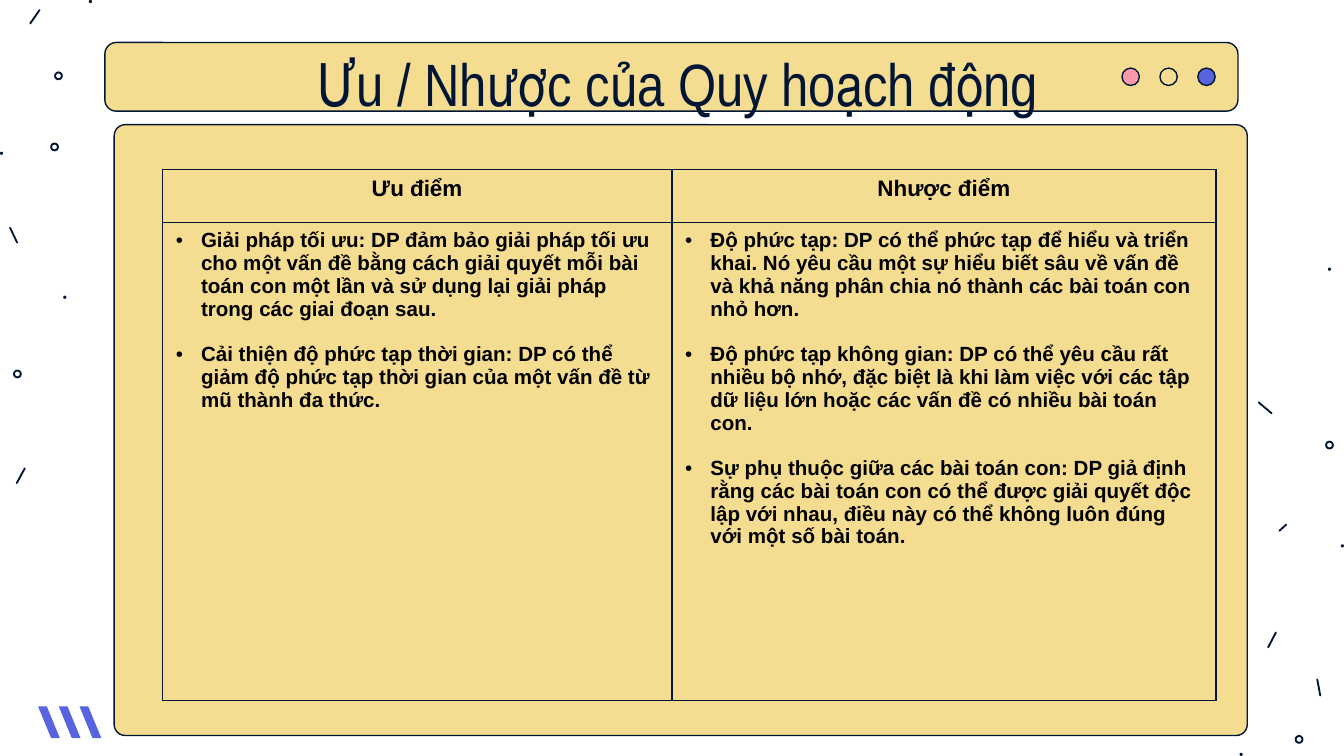
"""Builds a slide that weighs the pros and cons of dynamic programming in a table."""
from dataclasses import dataclass

from lxml.etree import SubElement
from pptx import Presentation
from pptx.dml.color import RGBColor as RGB
from pptx.enum.shapes import MSO_CONNECTOR as LINK, MSO_SHAPE as SHAPE
from pptx.enum.text import MSO_ANCHOR as ANCHOR, MSO_AUTO_SIZE as AUTO, PP_ALIGN as ALIGN
from pptx.oxml.ns import qn
from pptx.util import Pt


@dataclass(frozen=True)
class Theme:
    ink: str = "011635"
    text: str = "000000"
    panel: str = "F4DC90"
    pink: str = "F99AAA"
    blue: str = "5863E0"
    title_font: str = "Arial Narrow"
    body_font: str = "Arial"
    title_size: int = 32
    header_size: int = 12
    body_size: int = 11
    outline: float = 0.75
    border: float = 1


THEME = Theme()
TITLE = "Ưu / Nhược của Quy hoạch động"
COLUMNS = [
    ("Ưu điểm", 272.9, [
        "Giải pháp tối ưu: DP đảm bảo giải pháp tối ưu cho một vấn đề bằng cách giải quyết "
        "mỗi bài toán con một lần và sử dụng lại giải pháp trong các giai đoạn sau.",
        "Cải thiện độ phức tạp thời gian: DP có thể giảm độ phức tạp thời gian của một vấn đề "
        "từ mũ thành đa thức.",
    ]),
    ("Nhược điểm", 291.6, [
        "Độ phức tạp: DP có thể phức tạp để hiểu và triển khai. Nó yêu cầu một sự hiểu biết "
        "sâu về vấn đề và khả năng phân chia nó thành các bài toán con nhỏ hơn.",
        "Độ phức tạp không gian: DP có thể yêu cầu rất nhiều bộ nhớ, đặc biệt là khi làm việc "
        "với các tập dữ liệu lớn hoặc các vấn đề có nhiều bài toán con.",
        "Sự phụ thuộc giữa các bài toán con: DP giả định rằng các bài toán con có thể được "
        "giải quyết độc lập với nhau, điều này có thể không luôn đúng với một số bài toán.",
    ]),
]
ROW_HEIGHTS = (28.5, 256)
TICKS = [
    (21.2, 5.4, 16.2, 12.6), (5.4, 122, 9.2, 130), (13.3, 250.9, 9, 258.8),
    (674.3, 215.6, 681.2, 221.4), (705.7, 364, 707.3, 372.6),
    (683.5, 338.9, 679.4, 346.8), (689, 281.1, 685.4, 284.4),
]
RINGS = [(29, 38.3), (7, 198), (26.9, 76.4), (709.9, 236.1), (693.6, 393.8)]
DOTS = [(33.9, 158.4), (47.6, 0), (0, 81.3), (718.3, 291.6), (664.1, 403.3), (711.4, 143.4)]
LIGHTS = (THEME.pink, THEME.panel, THEME.blue)


def paint(shape, fill, outlined=False):
    shape.shadow.inherit = False
    shape.fill.solid()
    shape.fill.fore_color.rgb = RGB.from_string(fill)
    if outlined:
        shape.line.color.rgb = RGB.from_string(THEME.ink)
        shape.line.width = Pt(THEME.outline)
    else:
        shape.line.fill.background()


def add_preset(slide, kind, box, fill, outlined=False, adjust=None):
    shape = slide.shapes.add_shape(kind, *map(Pt, box))
    paint(shape, fill, outlined)
    if adjust is not None:
        shape.adjustments[0] = adjust
    return shape


def add_confetti(slide):
    for ends in TICKS:
        tick = slide.shapes.add_connector(LINK.STRAIGHT, *map(Pt, ends))
        tick.line.color.rgb = RGB.from_string(THEME.ink)
        tick.line.width = Pt(1)
        tick.line._get_or_add_ln().set("cap", "rnd")
        SubElement(tick.element.spPr, qn("a:effectLst"))
    for corner in RINGS:
        add_preset(slide, SHAPE.DONUT, (*corner, 4.7, 4.7), THEME.ink, adjust=0.22)
    for corner in DOTS:
        add_preset(slide, SHAPE.OVAL, (*corner, 1.7, 1.7), THEME.ink)


def add_slashes(slide, left=20.4, top=378.5, step=11.1, thick=4.7, lean=7, height=17):
    for index in range(3):
        x = left + index * step
        outline = slide.shapes.build_freeform(Pt(x), Pt(top))
        corners = [(x + thick, top), (x + thick + lean, top + height), (x + lean, top + height)]
        outline.add_line_segments([(Pt(a), Pt(b)) for a, b in corners], close=True)
        paint(outline.convert_to_shape(), THEME.blue)


def set_font(paragraph, name, size, color, bold=False):
    font = paragraph.font
    font.name, font.size, font.bold = name, Pt(size), bold
    font.color.rgb = RGB.from_string(color)


def add_heading(slide):
    bar = add_preset(slide, SHAPE.ROUNDED_RECTANGLE, (56.2, 22.8, 607, 36.8),
                     THEME.panel, True, 0.167)
    heading = slide.shapes.title
    bar.element.addnext(heading.element)
    heading.left, heading.top, heading.width, heading.height = map(Pt, (110.9, 21.6, 504.7, 45.4))
    frame = heading.text_frame
    frame.text = TITLE
    frame.auto_size, frame.vertical_anchor = AUTO.NONE, ANCHOR.MIDDLE
    frame.margin_left = frame.margin_right = frame.margin_top = frame.margin_bottom = 0
    frame.paragraphs[0].alignment = ALIGN.CENTER
    set_font(frame.paragraphs[0], THEME.title_font, THEME.title_size, THEME.ink)
    for index, color in enumerate(LIGHTS):
        add_preset(slide, SHAPE.OVAL, (601.1 + index * 20.3, 36.5, 9.3, 9.3), color, True)


def add_bullet(paragraph, indent=Pt(13.5)):
    properties = paragraph._p.get_or_add_pPr()
    properties.set("marL", str(indent))
    properties.set("indent", str(-indent))
    paragraph.space_before = Pt(12)
    color = SubElement(properties, qn("a:buClr"))
    SubElement(color, qn("a:srgbClr"), val=THEME.text)
    SubElement(properties, qn("a:buFont"), typeface=THEME.body_font)
    SubElement(properties, qn("a:buChar"), char="•")


def style_cell(cell):
    properties = cell._tc.get_or_add_tcPr()
    for side in ("lnL", "lnR", "lnT", "lnB"):
        border = SubElement(properties, qn(f"a:{side}"), w=str(Pt(THEME.border)))
        fill = SubElement(border, qn("a:solidFill"))
        SubElement(fill, qn("a:srgbClr"), val=THEME.ink)
    cell.fill.background()


def add_comparison(slide):
    add_preset(slide, SHAPE.ROUNDED_RECTANGLE, (61.2, 66.8, 607, 327.2), THEME.panel, True, 0.018)
    width = sum(column[1] for column in COLUMNS)
    table = slide.shapes.add_table(len(ROW_HEIGHTS), len(COLUMNS), Pt(87), Pt(90.7),
                                   Pt(width), Pt(sum(ROW_HEIGHTS))).table
    table.first_row = table.horz_banding = False
    for row, height in zip(table.rows, ROW_HEIGHTS):
        row.height = Pt(height)
    for index, (header, column_width, points) in enumerate(COLUMNS):
        table.columns[index].width = Pt(column_width)
        header_cell, points_cell = table.cell(0, index), table.cell(1, index)
        header_cell.text, points_cell.text = header, "\n".join(points)
        style_cell(header_cell)
        style_cell(points_cell)
        label = header_cell.text_frame.paragraphs[0]
        label.alignment = ALIGN.CENTER
        set_font(label, THEME.body_font, THEME.header_size, THEME.text, True)
        for point in points_cell.text_frame.paragraphs:
            add_bullet(point)
            set_font(point, THEME.body_font, THEME.body_size, THEME.text, True)


def main():
    deck = Presentation()
    deck.slide_width, deck.slide_height = Pt(720), Pt(405)
    slide = deck.slides.add_slide(deck.slide_layouts[5])
    add_confetti(slide)
    add_slashes(slide)
    add_heading(slide)
    add_comparison(slide)
    deck.save("out.pptx")


if __name__ == "__main__":
    main()
